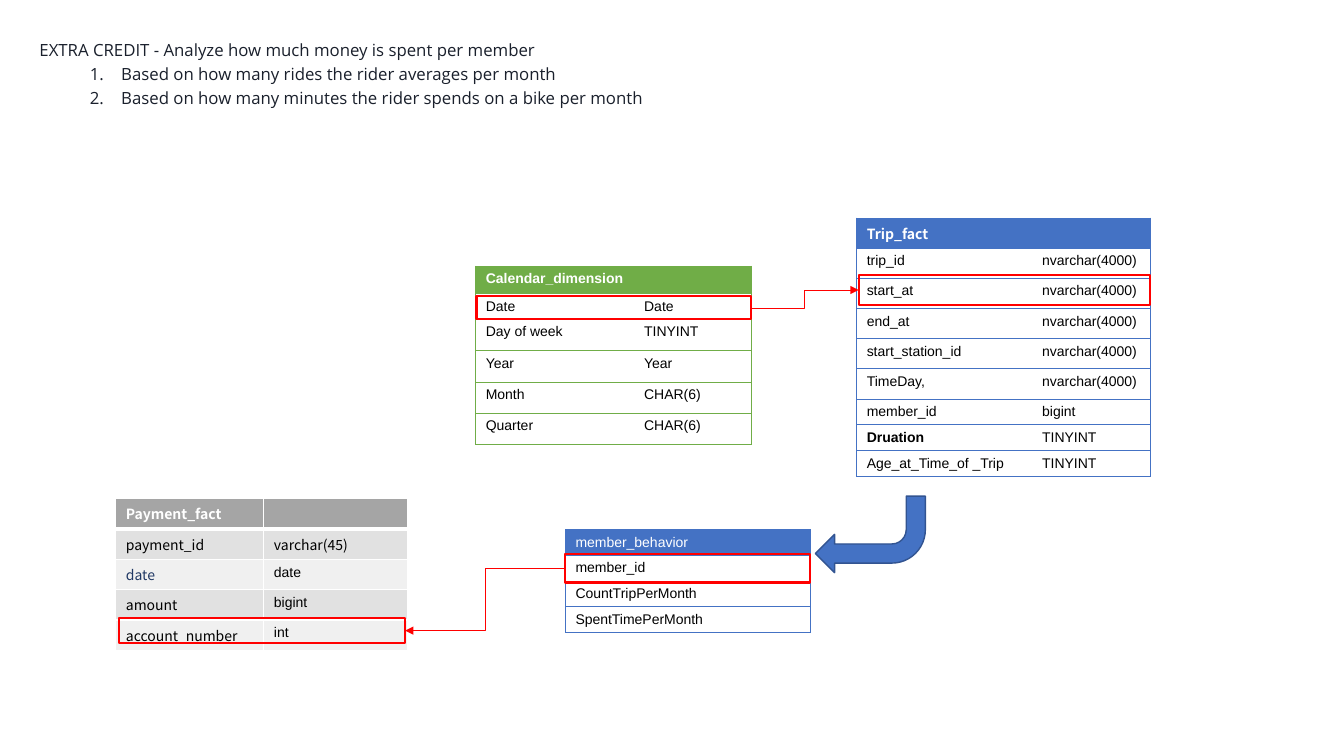
from dataclasses import dataclass
from typing import Optional, Union

from lxml.etree import SubElement
from pptx import Presentation
from pptx.dml.color import RGBColor
from pptx.enum.shapes import MSO_CONNECTOR as Connector, MSO_SHAPE as Preset
from pptx.enum.text import MSO_ANCHOR as Anchor, MSO_AUTO_SIZE as AutoSize
from pptx.oxml.ns import qn
from pptx.util import Cm, Pt

COLORS = {
    "heading": "1A202C", "text": "000000", "white": "FFFFFF", "navy": "203864",
    "blue": "4472C4", "dark_blue": "325491", "green": "70AD47", "red": "FF0000",
    "gray": "A5A5A5", "band_dark": "E1E1E1", "band_light": "F0F0F0",
}
ARIAL, NOTO, OPEN_SANS = "Arial", "Noto Sans CJK JP", "Open Sans"


@dataclass(frozen=True)
class Label:
    text: str
    font: str = ARIAL
    color: str = "text"
    bold: bool = False


@dataclass(frozen=True)
class Entity:
    left: float
    top: float
    columns: list[float]
    heights: list[float]
    header: Label
    rows: list[tuple[Union[str, Label], ...]]
    fill: str
    border: str
    border_width: float = 0.5
    inner_vertical: bool = False
    bands: Optional[tuple[str, str]] = None


@dataclass(frozen=True)
class Mark:
    left: float
    top: float
    width: float
    height: float


def rgb(name: str) -> RGBColor:
    return RGBColor.from_string(COLORS[name])


def apply(target, values: dict) -> None:
    for name, value in values.items():
        setattr(target, name, value)


def add_run(paragraph, label: Label, size: float) -> None:
    run = paragraph.add_run()
    run.text = label.text
    apply(run.font, {"name": label.font, "size": Pt(size), "bold": label.bold})
    run.font.color.rgb = rgb(label.color)


def set_border(cell, side: str, color: Optional[str], width: float) -> None:
    line = SubElement(cell._tc.get_or_add_tcPr(), qn(f"a:ln{side}"), w=str(Pt(width)))
    if color is None:
        SubElement(line, qn("a:noFill"))
    else:
        fill = SubElement(line, qn("a:solidFill"))
        SubElement(fill, qn("a:srgbClr"), val=COLORS[color])


def add_entity(slide, entity: Entity) -> None:
    count = len(entity.columns)
    header = (entity.header,) + ("",) * (count - 1)
    rows = [header, *entity.rows]
    table = slide.shapes.add_table(
        len(rows), count, Cm(entity.left), Cm(entity.top),
        Cm(sum(entity.columns)), Cm(sum(entity.heights))).table
    apply(table, {"first_row": False, "horz_banding": False})
    for column, width in zip(table.columns, entity.columns):
        column.width = Cm(width)
    for r, (values, height) in enumerate(zip(rows, entity.heights)):
        table.rows[r].height = Cm(height)
        for c, value in enumerate(values):
            cell = table.cell(r, c)
            label = value if isinstance(value, Label) else Label(value)
            paragraph = cell.text_frame.paragraphs[0]
            if label.text:
                add_run(paragraph, label, 10)
            else:
                paragraph.font.size = Pt(10)
                SubElement(paragraph._p, qn("a:endParaRPr"), sz="1000")
            # Borders come before the fill in the cell properties
            edges = {"L": c == 0, "R": c == count - 1, "T": True, "B": True}
            for side, outer in edges.items():
                color = entity.border if outer or entity.inner_vertical else None
                thick = entity.bands and (r, side) in ((0, "B"), (1, "T"))
                set_border(cell, side, color, 3 if thick else entity.border_width)
            if r == 0 or entity.bands:
                cell.fill.solid()
                cell.fill.fore_color.rgb = rgb(
                    entity.fill if r == 0 else entity.bands[(r - 1) % 2])
            else:
                cell.fill.background()


def add_mark(slide, mark: Mark):
    shape = slide.shapes.add_shape(
        Preset.RECTANGLE, Cm(mark.left), Cm(mark.top), Cm(mark.width), Cm(mark.height))
    shape.shadow.inherit = False
    shape.fill.background()
    shape.line.color.rgb = rgb("red")
    shape.line.width = Pt(1.5)
    return shape


def add_link(slide, start, start_site: int, end, end_site: int) -> None:
    """Join side sites of two marks: 1 is left, 3 is right."""
    points = []
    for shape, site in ((start, start_site), (end, end_site)):
        points += [shape.left + (shape.width if site == 3 else 0),
                   shape.top + shape.height // 2]
    link = slide.shapes.add_connector(Connector.ELBOW, *points)
    link.begin_connect(start, start_site)
    link.end_connect(end, end_site)
    link.line.color.rgb = rgb("red")
    link.line.width = Pt(0.5)
    SubElement(link.line._get_or_add_ln(), qn("a:tailEnd"), type="triangle")
    SubElement(link._element.spPr, qn("a:effectLst"))


presentation = Presentation()
apply(presentation, {"slide_width": Cm(33.87), "slide_height": Cm(19.05)})
slide = presentation.slides.add_slide(presentation.slide_layouts[1])

# Heading and numbered list
title, body = slide.placeholders
title._element.getparent().remove(title._element)
apply(body, {"left": Cm(0.74), "top": Cm(0.94), "width": Cm(20.4), "height": Cm(2.62)})
frame = body.text_frame
apply(frame, {"word_wrap": True, "auto_size": AutoSize.NONE, "vertical_anchor": Anchor.TOP})
LINES = [
    "EXTRA CREDIT - Analyze how much money is spent per member",
    "Based on how many rides the rider averages per month",
    "Based on how many minutes the rider spends on a bike per month",
]
for index, line in enumerate(LINES):
    paragraph = frame.paragraphs[0] if index == 0 else frame.add_paragraph()
    numbered = index > 0
    apply(paragraph, {"level": int(numbered), "line_spacing": 0.9,
                      "space_before": Pt(4 if numbered else 0)})
    properties = paragraph._p.get_or_add_pPr()
    properties.set("marL", str(Cm(2.06) if numbered else 0))
    properties.set("indent", str(Cm(-0.79) if numbered else 0))
    if numbered:
        SubElement(properties, qn("a:buFont"), typeface="+mj-lt")
        SubElement(properties, qn("a:buAutoNum"), type="arabicPeriod")
    else:
        SubElement(properties, qn("a:buNone"))
    add_run(paragraph, Label(line, OPEN_SANS, "heading"), 12)

# Entity tables
ENTITIES = [
    Entity(14.25, 13.34, [6.17], [0.65] * 4, Label("member_behavior", color="white"),
           [("member_id",), ("CountTripPerMonth",), ("SpentTimePerMonth",)],
           "blue", "blue"),
    Entity(11.99, 6.71, [3.99, 2.95], [0.65] * 2 + [0.79] * 4,
           Label("Calendar_dimension", ARIAL, "white", True),
           [("Date", "Date"), ("Day of week", "TINYINT"), ("Year", "Year"),
            ("Month", "CHAR(6)"), ("Quarter", "CHAR(6)")], "green", "green"),
    Entity(21.59, 5.49, [4.42, 2.97], [0.76] * 6 + [0.65] * 3,
           Label("Trip_fact", NOTO, "white", True),
           [(name, "nvarchar(4000)") for name in
            ("trip_id", "start_at", "end_at", "start_station_id", "TimeDay,")]
           + [("member_id", "bigint"), (Label("Druation", bold=True), "TINYINT"),
              ("Age_at_Time_of _Trip", "TINYINT")], "blue", "blue"),
    Entity(2.92, 12.57, [3.73, 3.61], [0.75] * 5,
           Label("Payment_fact", NOTO, "white", True),
           [(Label("payment_id", NOTO), Label("varchar(45)", NOTO)),
            (Label("date", NOTO, "navy"), "date"),
            (Label("amount", NOTO), "bigint"),
            (Label("account_number", NOTO), "int")],
           "gray", "white", 1, True, ("band_dark", "band_light")),
]
for entity in ENTITIES:
    add_entity(slide, entity)

# Arrow from the trips to the member behavior
arrow = slide.shapes.add_shape(Preset.BENT_ARROW, Cm(20.55), Cm(12.5), Cm(2.77), Cm(1.93))
arrow.rotation = 180
arrow.shadow.inherit = False
arrow.fill.solid()
arrow.fill.fore_color.rgb = rgb("blue")
arrow.line.color.rgb = rgb("dark_blue")
arrow.line.width = Pt(1)

# Key fields and their links
member_key = add_mark(slide, Mark(14.25, 13.97, 6.17, 0.71))
calendar_key = add_mark(slide, Mark(12.01, 7.47, 6.91, 0.58))
trip_key = add_mark(slide, Mark(21.64, 6.93, 7.34, 0.76))
payment_key = add_mark(slide, Mark(3, 15.57, 7.21, 0.64))
add_link(slide, member_key, 1, payment_key, 3)
add_link(slide, calendar_key, 3, trip_key, 1)

presentation.save("out.pptx")
